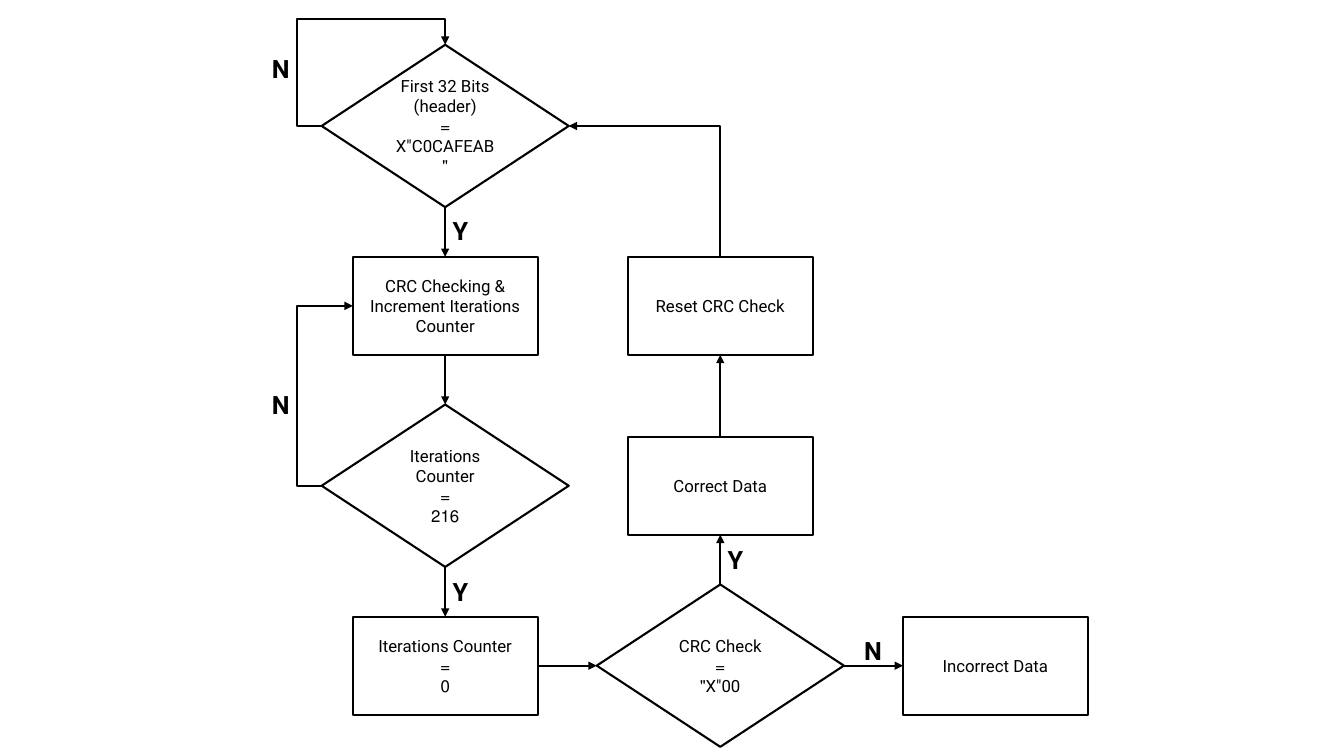
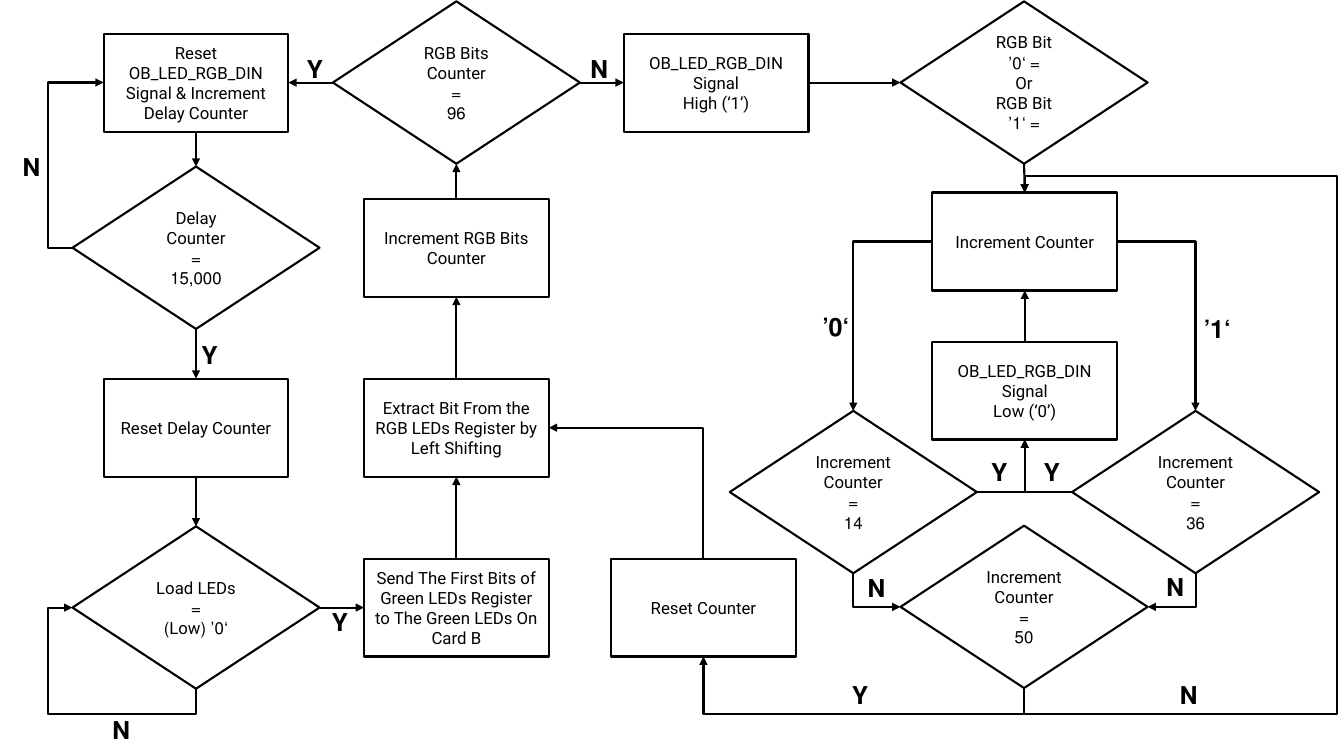
from lxml.etree import SubElement
from pptx import Presentation
from pptx.dml.color import RGBColor
from pptx.enum.shapes import MSO_CONNECTOR as CONN, MSO_SHAPE as SHAPE
from pptx.enum.text import MSO_ANCHOR as ANCHOR, MSO_AUTO_SIZE as AUTO, PP_ALIGN as ALIGN
from pptx.oxml.ns import qn
from pptx.util import Pt

BLACK = RGBColor(0x00, 0x00, 0x00)
WHITE = RGBColor(0xFF, 0xFF, 0xFF)
FONT = "Roboto"
LINE_W = Pt(1.5)
STEP_SIZE = (132, 70)
TEST_SIZE = (176.5, 116)
LABEL_H = 29
TOP, LEFT, BOTTOM, RIGHT = range(4)


def write(tf, lines, size, align, bold=False):
    """Fill a text frame with right-to-left paragraphs."""
    tf.word_wrap = True
    for i, line in enumerate(lines):
        p = tf.paragraphs[0] if i == 0 else tf.add_paragraph()
        p.alignment = align
        p._p.get_or_add_pPr().set("rtl", "1")
        r = p.add_run()
        r.text = line
        r.font.name, r.font.size, r.font.bold = FONT, Pt(size), bold
        r.font.color.rgb = BLACK


def node(s, kind, size, cx, cy, lines):
    """Draw an outlined flowchart node centred on a point."""
    w, h = size
    sp = s.shapes.add_shape(kind, Pt(cx - w / 2), Pt(cy - h / 2), Pt(w), Pt(h))
    sp.shadow.inherit = False
    sp.fill.solid()
    sp.fill.fore_color.rgb = WHITE
    sp.line.color.rgb = BLACK
    sp.line.width = LINE_W
    sp.text_frame.vertical_anchor = ANCHOR.MIDDLE
    write(sp.text_frame, lines, 12, ALIGN.CENTER)
    return sp


def step(s, cx, cy, *lines):
    """Draw a process rectangle."""
    return node(s, SHAPE.RECTANGLE, STEP_SIZE, cx, cy, lines)


def test(s, cx, cy, *lines):
    """Draw a decision diamond."""
    return node(s, SHAPE.FLOWCHART_DECISION, TEST_SIZE, cx, cy, lines)


def label(s, text, cx, cy):
    """Write a bold branch label centred on a point."""
    w = 26 if len(text) == 1 else 40
    tb = s.shapes.add_textbox(Pt(cx - w / 2), Pt(cy - LABEL_H / 2), Pt(w), Pt(LABEL_H))
    write(tb.text_frame, [text], 18, ALIGN.RIGHT, True)
    tb.text_frame.auto_size = AUTO.SHAPE_TO_FIT_TEXT


def bend(c, side, lanes):
    """Route an elbow connector along lanes given as alternating coordinates in points."""
    x1, y1, x2, y2 = c.begin_x, c.begin_y, c.end_x, c.end_y
    dx, dy = x2 - x1, y2 - y1
    upright = side in (TOP, BOTTOM)
    w, h = (abs(dy), abs(dx)) if upright else (abs(dx), abs(dy))
    c.left, c.top = (x1 + x2 - w) // 2, (y1 + y2 - h) // 2
    c.width, c.height = w, h
    flip_h, flip_v = (dy < 0, dx > 0) if upright else (dx < 0, dy < 0)
    xfrm = c._element.spPr.find(qn("a:xfrm"))
    xfrm.set("rot", "5400000" if upright else "0")
    xfrm.set("flipH", str(int(flip_h)))
    xfrm.set("flipV", str(int(flip_v)))
    geom = c._element.spPr.find(qn("a:prstGeom"))
    geom.set("prst", f"bentConnector{len(lanes) + 2}")
    av = geom.find(qn("a:avLst"))
    if av is None:
        av = SubElement(geom, qn("a:avLst"))
    axes = [(y1, dy), (x1, dx)] if upright else [(x1, dx), (y1, dy)]
    for i, lane in enumerate(lanes):
        start, span = axes[i % 2]
        value = round((Pt(lane) - start) / span * 100000)
        SubElement(av, qn("a:gd"), name=f"adj{i + 1}", fmla=f"val {value}")


def link(s, a, a_side, b, b_side, lanes=None):
    """Join two nodes with an arrow, straight unless lanes are given."""
    c = s.shapes.add_connector(CONN.STRAIGHT if lanes is None else CONN.ELBOW, 0, 0, 0, 0)
    c.begin_connect(a, a_side)
    c.end_connect(b, b_side)
    if lanes is not None:
        bend(c, a_side, lanes)
    c.line.color.rgb = BLACK
    c.line.width = LINE_W
    SubElement(c.line._get_or_add_ln(), qn("a:tailEnd"), type="triangle")
    SubElement(c._element.spPr, qn("a:effectLst"))


def labels(s, x, y, items):
    """Place branch labels relative to a region's origin."""
    for text, dx, dy in items:
        label(s, text, x + dx, y + dy)


def crc_flow(s, x, y):
    """Draw the CRC checking flow from the centre of its first decision."""
    col = [x + 196.5 * i for i in range(3)]
    row = [y + 128.5 * i for i in range(4)]
    header = test(s, col[0], row[0], "First 32 Bits (header)", "=", 'X"C0CAFEAB"')
    check = step(s, col[0], row[1], "CRC Checking & Increment Iterations Counter")
    count = test(s, col[0], row[2], "Iterations Counter", "=", "216")
    clear = step(s, col[0], row[3], "Iterations Counter", "=", "0")
    crc = test(s, col[1], row[3], "CRC Check", "=", 'X"00"')
    correct = step(s, col[1], row[2], "Correct Data")
    reset = step(s, col[1], row[1], "Reset CRC Check")
    incorrect = step(s, col[2], row[3], "Incorrect Data")
    for a, b in [(header, check), (check, count), (count, clear)]:
        link(s, a, BOTTOM, b, TOP)
    for a, b in [(clear, crc), (crc, incorrect)]:
        link(s, a, RIGHT, b, LEFT)
    for a, b in [(crc, correct), (correct, reset)]:
        link(s, a, TOP, b, BOTTOM)
    link(s, header, LEFT, header, TOP, [x - 106, y - 76.5])
    link(s, count, LEFT, check, LEFT, [x - 106])
    link(s, reset, TOP, header, RIGHT, [])
    labels(s, x, y, [("N", -117, -41), ("Y", 10.5, 75), ("N", -117, 199),
                     ("Y", 10.5, 332.5), ("Y", 207, 309.5), ("N", 306, 374.5)])


def delay_column(s, x, y):
    """Draw the delay loop from the centre of its first step and return its ends."""
    first = step(s, x, y, "Reset OB_LED_RGB_DIN Signal & Increment Delay Counter")
    delay = test(s, x, y + 118, "Delay Counter", "=", "15,000")
    reset = step(s, x, y + 246.5, "Reset Delay Counter")
    load = test(s, x, y + 375, "Load LEDs", "=", "‘0’ (Low)")
    for a, b in [(first, delay), (delay, reset), (reset, load)]:
        link(s, a, BOTTOM, b, TOP)
    link(s, delay, LEFT, first, LEFT, [x - 105.5])
    link(s, load, BOTTOM, load, LEFT, [y + 451, x - 106])
    labels(s, x, y, [("N", -117, 60), ("Y", 9.5, 194), ("N", -53, 462), ("Y", 102.5, 385)])
    return first, load


def bit_column(s, x, y):
    """Draw the bit shifting column from the centre of its decision and return its parts."""
    bits = test(s, x, y, "RGB Bits Counter", "=", "96")
    add = step(s, x, y + 118, "Increment RGB Bits Counter")
    extract = step(s, x, y + 246.5, "Extract Bit From the RGB LEDs Register by Left Shifting")
    send = step(s, x, y + 375,
                "Send The First Bits of Green LEDs Register to The Green LEDs On Card B")
    for a, b in [(send, extract), (extract, add), (add, bits)]:
        link(s, a, TOP, b, BOTTOM)
    labels(s, x, y, [("N", 102.5, -10), ("Y", -101.5, -10)])
    return bits, extract, send


def pulse_region(s, x, y):
    """Draw the pulse timing from the centre of its decision and return its ends."""
    high = step(s, x - 220, y, "OB_LED_RGB_DIN Signal", "High (‘1’)")
    bit = test(s, x, y, "RGB Bit", "= ‘0’", "Or", "RGB Bit", "= ‘1’")
    add = step(s, x + 0.5, y + 113.5, "Increment Counter")
    low = step(s, x + 0.5, y + 220, "OB_LED_RGB_DIN Signal", "Low (‘0’)")
    zero, one, full = [test(s, x + dx, y + dy, "Increment Counter", "=", limit)
                       for dx, dy, limit in [(-122, 292.5, "14"), (122.5, 292.5, "36"),
                                             (0, 374.5, "50")]]
    reset = step(s, x - 229, y + 375, "Reset Counter")
    link(s, high, RIGHT, bit, LEFT)
    link(s, bit, BOTTOM, add, TOP)
    link(s, low, TOP, add, BOTTOM)
    for side, inner, branch in [(LEFT, RIGHT, zero), (RIGHT, LEFT, one)]:
        link(s, add, side, branch, TOP, [])
        link(s, branch, inner, low, BOTTOM, [])
        link(s, branch, BOTTOM, full, side, [])
    link(s, full, BOTTOM, reset, BOTTOM, [y + 451])
    link(s, full, BOTTOM, add, TOP, [y + 451, x + 219, y + 66.5])
    labels(s, x, y, [("‘0’", -138, 174.5), ("‘1’", 134.5, 176), ("Y", -18, 278),
                     ("Y", 19.5, 278), ("N", -105, 361), ("N", 108.5, 360),
                     ("Y", -117.5, 437), ("N", 118, 437)])
    return high, reset


def led_flow(s, x, y):
    """Draw the LED driver flow from the centre of its first step."""
    delay, load = delay_column(s, x, y)
    bits, extract, send = bit_column(s, x + 186, y)
    high, reset = pulse_region(s, x + 591.5, y)
    link(s, bits, LEFT, delay, RIGHT)
    link(s, bits, RIGHT, high, LEFT)
    link(s, load, RIGHT, send, LEFT)
    link(s, reset, TOP, extract, RIGHT, [])


def main():
    """Build the two flowchart slides."""
    prs = Presentation()
    prs.slide_width, prs.slide_height = Pt(960), Pt(540)
    for draw, x, y in [(crc_flow, 318, 90), (led_flow, 140, 59)]:
        draw(prs.slides.add_slide(prs.slide_layouts[6]), x, y)
    prs.save("out.pptx")


if __name__ == "__main__":
    main()
